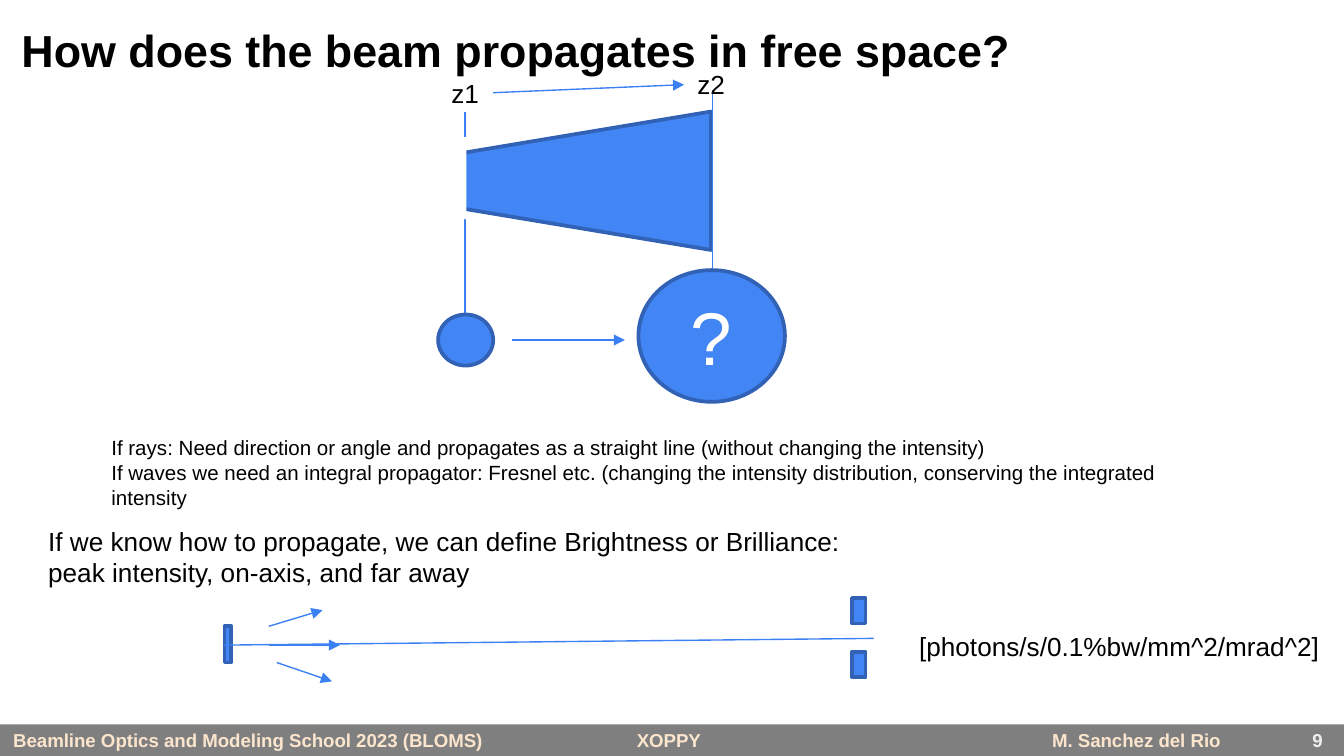
from dataclasses import dataclass
from typing import Optional

from lxml import etree
from pptx import Presentation
from pptx.dml.color import RGBColor
from pptx.enum.shapes import MSO_CONNECTOR, MSO_SHAPE
from pptx.enum.text import MSO_ANCHOR, MSO_AUTO_SIZE, PP_ALIGN
from pptx.oxml.ns import qn
from pptx.util import Pt

EMU_PER_PX = 9144
SLIDE_WIDTH, SLIDE_HEIGHT = Pt(720), Pt(405)
TITLE_ONLY = 5
FONT = "Arial"
STRAIGHT = MSO_CONNECTOR.STRAIGHT
RECTANGLE = MSO_SHAPE.RECTANGLE
TRIANGLE = MSO_SHAPE.ISOSCELES_TRIANGLE
OVAL = MSO_SHAPE.OVAL
TOP, MIDDLE = MSO_ANCHOR.TOP, MSO_ANCHOR.MIDDLE
LEFT, CENTER, RIGHT = PP_ALIGN.LEFT, PP_ALIGN.CENTER, PP_ALIGN.RIGHT
GROW, FIXED = MSO_AUTO_SIZE.SHAPE_TO_FIT_TEXT, MSO_AUTO_SIZE.NONE

COLORS = {
    "beam": "4285F4",
    "outline": "3162B5",
    "ray": "3C81F3",
    "ink": "000000",
    "paper": "FFFFFF",
    "footer": "FCE5CD",
    "number": "EFEFEF",
}


@dataclass(frozen=True)
class Box:
    left: int
    top: int
    width: int
    height: int


@dataclass(frozen=True)
class Style:
    size: int
    color: str = "ink"
    bold: bool = False
    align: PP_ALIGN = LEFT
    anchor: MSO_ANCHOR = TOP
    autosize: MSO_AUTO_SIZE = GROW
    wrap: bool = True
    inset: int = 5


@dataclass(frozen=True)
class Figure:
    kind: MSO_SHAPE
    box: Box
    fill: str = "beam"
    outline: Optional[str] = "outline"
    rotation: int = 0


@dataclass(frozen=True)
class Ray:
    start: tuple[int, int]
    end: tuple[int, int]
    arrow: bool = True


@dataclass(frozen=True)
class Label:
    box: Box
    lines: tuple[str, ...]
    style: Style


BODY = Style(14)
TAG = Style(14, wrap=False)
TITLE = Style(24, bold=True, inset=10)
FOOTER = Style(10, "footer", bold=True, autosize=FIXED, inset=3)
NUMBER = Style(10, "number", bold=True, align=RIGHT, anchor=MIDDLE, autosize=FIXED, inset=3)
QUESTION = Style(40, "paper", align=CENTER, anchor=MIDDLE, autosize=FIXED)

TITLE_BOX = Box(6, 7, 989, 61)
FOOTER_BAR = Figure(RECTANGLE, Box(0, 539, 1000, 24), "ink", None)
FOOTER_TABS = (464, 773)
FOOTER_TEXT = "Beamline Optics and Modeling School 2023 (BLOMS)\tXOPPY\tM. Sanchez del Rio"

BEAM = Figure(TRIANGLE, Box(323, -20, 103, 309), rotation=270)
BEAM_TIP_COVER = Figure(RECTANGLE, Box(212, 102, 135, 61), "paper", None)
SPOT_AT_Z1 = Figure(OVAL, Box(326, 234, 41, 38))
SPOT_AT_Z2 = Figure(OVAL, Box(475, 201, 109, 98))
SOURCE_PLATE = Figure(RECTANGLE, Box(167, 466, 5, 27))
SLIT_BLADES = [Figure(RECTANGLE, Box(634, top, 10, 19)) for top in (445, 485)]

PLANES = [
    Ray((346, 83), (346, 234), False),
    Ray((530, 67), (530, 234), False),
]
RAYS = [
    Ray((367, 69), (509, 63)),
    Ray((381, 253), (465, 253)),
    Ray((200, 480), (253, 480)),
    Ray((206, 493), (247, 507)),
    Ray((200, 466), (240, 454)),
    Ray((167, 480), (650, 475), False),
]
LABELS = [
    Label(Box(919, 537, 75, 27), ("9",), NUMBER),
    Label(Box(73, 319, 855, 66), (
        "If rays: Need direction or angle and propagates as a straight line (without changing the intensity)",
        "If waves we need an integral propagator: Fresnel etc. (changing the intensity distribution, "
        "conserving the integrated intensity",
    ), Style(11)),
    Label(Box(326, 53, 41, 34), ("z1",), TAG),
    Label(Box(509, 46, 41, 34), ("z2",), TAG),
    Label(Box(26, 386, 878, 57), (
        "If we know how to propagate, we can define Brightness or Brilliance:",
        "peak intensity, on-axis, and far away",
    ), BODY),
    Label(Box(674, 464, 319, 34), ("[photons/s/0.1%bw/mm^2/mrad^2]",), TAG),
]


def px(value: int) -> int:
    return value * EMU_PER_PX


def place(box: Box) -> tuple[int, int, int, int]:
    return px(box.left), px(box.top), px(box.width), px(box.height)


def rgb(name: str) -> RGBColor:
    return RGBColor.from_string(COLORS[name])


def write(shape, lines: tuple[str, ...], style: Style, tabs: tuple[int, ...] = ()) -> None:
    frame = shape.text_frame
    frame_format = {
        "word_wrap": style.wrap,
        "auto_size": style.autosize,
        "vertical_anchor": style.anchor,
        "margin_left": px(10),
        "margin_right": px(10),
        "margin_top": px(style.inset),
        "margin_bottom": px(style.inset),
    }
    for name, value in frame_format.items():
        setattr(frame, name, value)
    font_format = {"name": FONT, "size": Pt(style.size), "bold": style.bold}
    for index, line in enumerate(lines):
        paragraph = frame.add_paragraph() if index else frame.paragraphs[0]
        paragraph.alignment = style.align
        if tabs:
            tab_list = etree.SubElement(paragraph._p.get_or_add_pPr(), qn("a:tabLst"))
            for position in tabs:
                etree.SubElement(tab_list, qn("a:tab"), pos=str(px(position)), algn="l")
        run = paragraph.add_run()
        run.text = line
        for name, value in font_format.items():
            setattr(run.font, name, value)
        run.font.color.rgb = rgb(style.color)


def draw_figure(slide, figure: Figure):
    shape = slide.shapes.add_shape(figure.kind, *place(figure.box))
    shape.shadow.inherit = False
    shape.rotation = figure.rotation
    shape.fill.solid()
    shape.fill.fore_color.rgb = rgb(figure.fill)
    if figure.outline:
        shape.line.color.rgb = rgb(figure.outline)
        shape.line.width = Pt(2)
    else:
        shape.line.fill.background()
    return shape


def draw_ray(slide, ray: Ray) -> None:
    connector = slide.shapes.add_connector(STRAIGHT, *map(px, ray.start + ray.end))
    connector.line.color.rgb = rgb("ray")
    connector.line.width = Pt(0.75)
    if ray.arrow:
        etree.SubElement(connector.line._get_or_add_ln(), qn("a:tailEnd"), type="triangle")
    etree.SubElement(connector._element.spPr, qn("a:effectLst"))


def draw_label(slide, label: Label) -> None:
    write(slide.shapes.add_textbox(*place(label.box)), label.lines, label.style)


def draw_footer(slide) -> None:
    bar = draw_figure(slide, FOOTER_BAR)
    tint = bar._element.spPr.find(qn("a:solidFill"))[0]
    etree.SubElement(tint, qn("a:alpha"), val="50000")
    write(bar, (FOOTER_TEXT,), FOOTER, FOOTER_TABS)


def main() -> None:
    deck = Presentation()
    deck.slide_width, deck.slide_height = SLIDE_WIDTH, SLIDE_HEIGHT
    slide = deck.slides.add_slide(deck.slide_layouts[TITLE_ONLY])
    title = slide.shapes.title
    title.left, title.top, title.width, title.height = place(TITLE_BOX)
    write(title, ("How does the beam propagates in free space?",), TITLE)
    draw_footer(slide)
    draw_figure(slide, BEAM)
    for plane in PLANES:
        draw_ray(slide, plane)
    for figure in (SPOT_AT_Z1, SOURCE_PLATE, *SLIT_BLADES):
        draw_figure(slide, figure)
    write(draw_figure(slide, SPOT_AT_Z2), ("?",), QUESTION)
    for ray in RAYS:
        draw_ray(slide, ray)
    for label in LABELS:
        draw_label(slide, label)
    draw_figure(slide, BEAM_TIP_COVER)
    deck.save("out.pptx")


if __name__ == "__main__":
    main()
